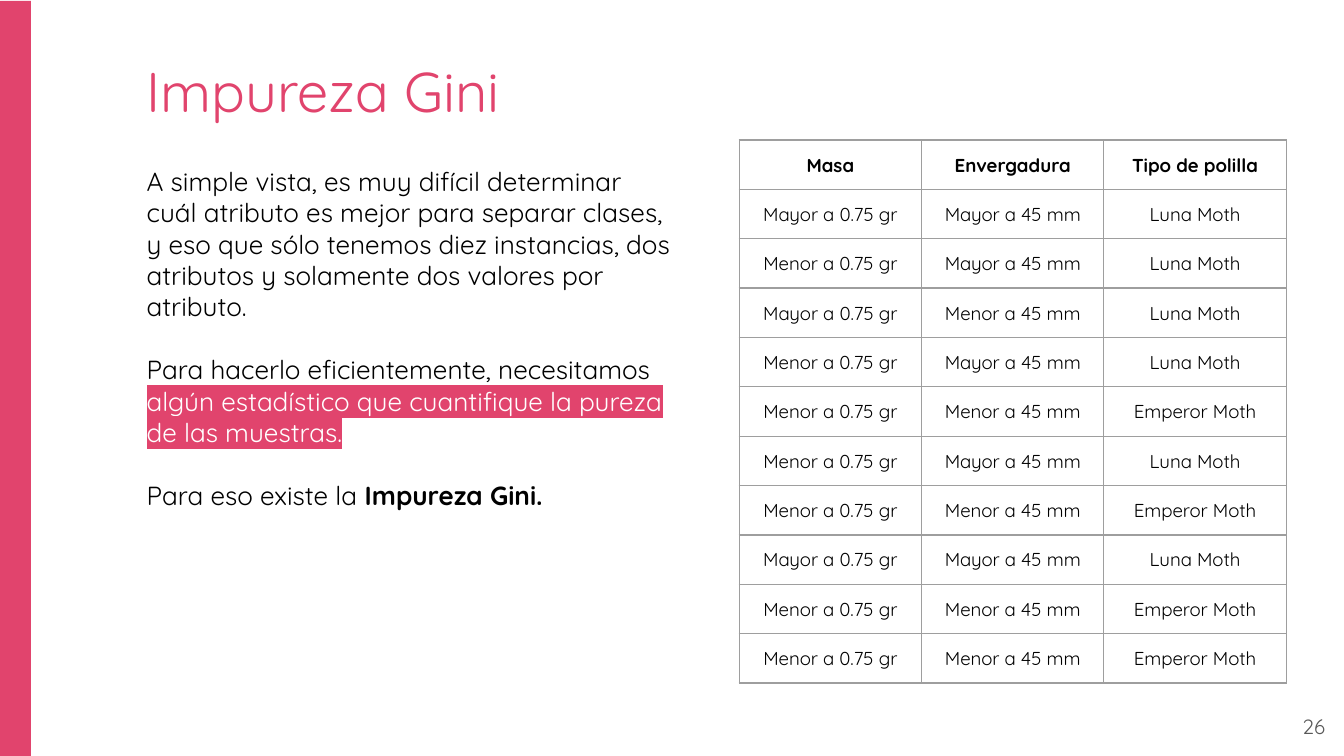
from pptx import Presentation
from pptx.dml.color import RGBColor
from pptx.enum import shapes, text
from pptx.oxml import parse_xml
from pptx.oxml.ns import nsdecls
from pptx.util import Pt

THEME = {
    "font": "Quicksand", "pink": "E1446D", "black": "000000", "white": "FFFFFF",
    "gray": "595959", "rule": "9E9E9E",
    "title": 30, "body": 14, "cell": 10, "page": 11,
}
TITLE = "Impureza Gini"
PAGE = "26"
HOT = {"color": "white", "mark": "pink"}
BODY = [
    [("A simple vista, es muy difícil determinar cuál atributo es mejor para separar "
      "clases, y eso que sólo tenemos diez instancias, dos atributos y solamente dos "
      "valores por atributo.", {})],
    [("Para hacerlo eficientemente, necesitamos ", {}),
     ("algún estadístico que cuantifique la pureza de las muestras.", HOT)],
    [("Para eso existe la", {}), (" Impureza Gini.", {"bold": True})],
]
HEAD = ("Masa", "Envergadura", "Tipo de polilla")
MOTHS = [
    ("Mayor", "Mayor", "Luna"),
    ("Menor", "Mayor", "Luna"),
    ("Mayor", "Menor", "Luna"),
    ("Menor", "Mayor", "Luna"),
    ("Menor", "Menor", "Emperor"),
    ("Menor", "Mayor", "Luna"),
    ("Menor", "Menor", "Emperor"),
    ("Mayor", "Mayor", "Luna"),
    ("Menor", "Menor", "Emperor"),
    ("Menor", "Menor", "Emperor"),
]
ROWS = [HEAD] + [(f"{mass} a 0.75 gr", f"{span} a 45 mm", f"{kind} Moth")
                 for mass, span, kind in MOTHS]
INSET = 7.2
COL, ROW = 97.7, 24


def rgb(name):
    return RGBColor.from_string(THEME[name])


def add_run(par, words, size="body", color="black", bold=False, mark=None):
    run = par.add_run()
    run.text = words
    font = run.font
    font.name, font.size, font.bold = THEME["font"], Pt(THEME[size]), bold
    font.color.rgb = rgb(color)
    if mark:
        fill = run._r.rPr.find("{*}solidFill")
        fill.addnext(parse_xml(f'<a:highlight {nsdecls("a")}>'
                               f'<a:srgbClr val="{THEME[mark]}"/></a:highlight>'))


def add_box(slide, box, pars, align="LEFT", anchor="TOP", gap=0, **style):
    frame = slide.shapes.add_textbox(*map(Pt, box)).text_frame
    frame.word_wrap = True
    frame.vertical_anchor = getattr(text.MSO_ANCHOR, anchor)
    frame.margin_left = frame.margin_right = Pt(INSET)
    frame.margin_top = frame.margin_bottom = Pt(INSET)
    for i, runs in enumerate(pars):
        par = frame.add_paragraph() if i else frame.paragraphs[0]
        par.alignment = getattr(text.PP_ALIGN, align)
        if i:
            par.space_before = Pt(gap)
        for words, extra in runs:
            add_run(par, words, **{**style, **extra})


def add_edges(cell):
    props = cell._tc.get_or_add_tcPr()
    for i, side in enumerate(("lnL", "lnR", "lnT", "lnB")):
        props.insert(i, parse_xml(
            f'<a:{side} {nsdecls("a")} w="{Pt(0.75)}"><a:solidFill>'
            f'<a:srgbClr val="{THEME["rule"]}"/></a:solidFill></a:{side}>'))


def add_grid(slide, left, top):
    rows, cols = len(ROWS), len(HEAD)
    grid = slide.shapes.add_table(rows, cols, Pt(left), Pt(top),
                                  Pt(cols * COL), Pt(rows * ROW)).table
    grid.first_row = grid.horz_banding = False
    for col in grid.columns:
        col.width = Pt(COL)
    for r, row in enumerate(ROWS):
        grid.rows[r].height = Pt(ROW)
        for c, words in enumerate(row):
            cell = grid.cell(r, c)
            cell.fill.background()
            cell.margin_left = cell.margin_right = Pt(INSET)
            cell.margin_top = cell.margin_bottom = Pt(INSET)
            par = cell.text_frame.paragraphs[0]
            par.alignment = text.PP_ALIGN.CENTER
            add_run(par, words, size="cell", bold=r == 0)
            add_edges(cell)


def main():
    deck = Presentation()
    deck.slide_width, deck.slide_height = Pt(720), Pt(405)
    slide = deck.slides.add_slide(deck.slide_layouts[6])
    bar = slide.shapes.add_shape(shapes.MSO_SHAPE.RECTANGLE,
                                 Pt(0), Pt(0.5), Pt(16.6), Pt(404.5))
    bar.shadow.inherit = False
    bar.fill.solid()
    bar.fill.fore_color.rgb = rgb("pink")
    bar.line.fill.background()
    add_box(slide, (71.5, 23, 492, 46), [[(TITLE, {})]], size="title", color="pink")
    add_box(slide, (674, 373.7, 43, 31), [[(PAGE, {})]], align="RIGHT",
            anchor="MIDDLE", size="page", color="gray")
    add_box(slide, (71.5, 81.4, 297.4, 31), BODY, gap=16.8)
    add_grid(slide, 396, 75)
    deck.save("out.pptx")


if __name__ == "__main__":
    main()
